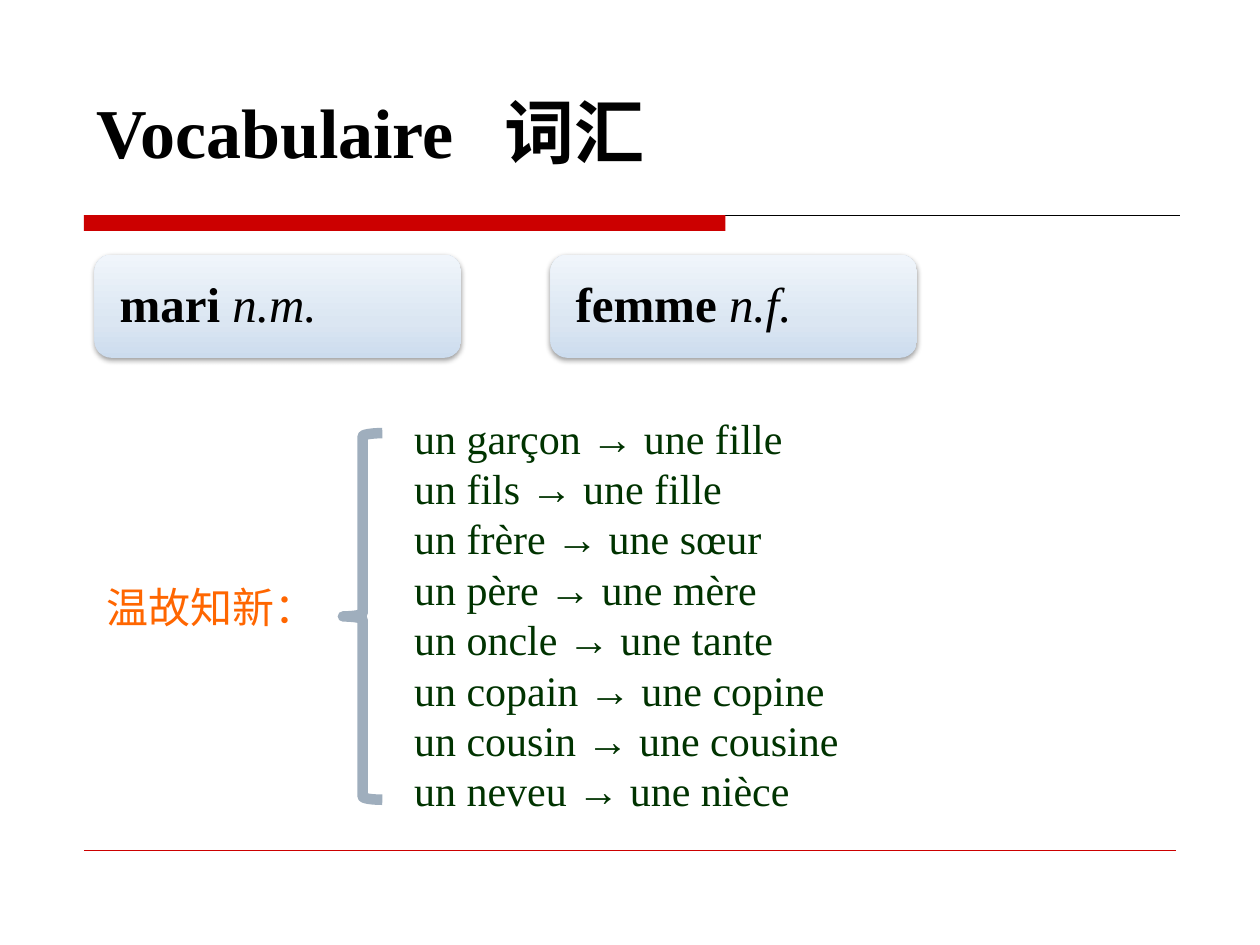
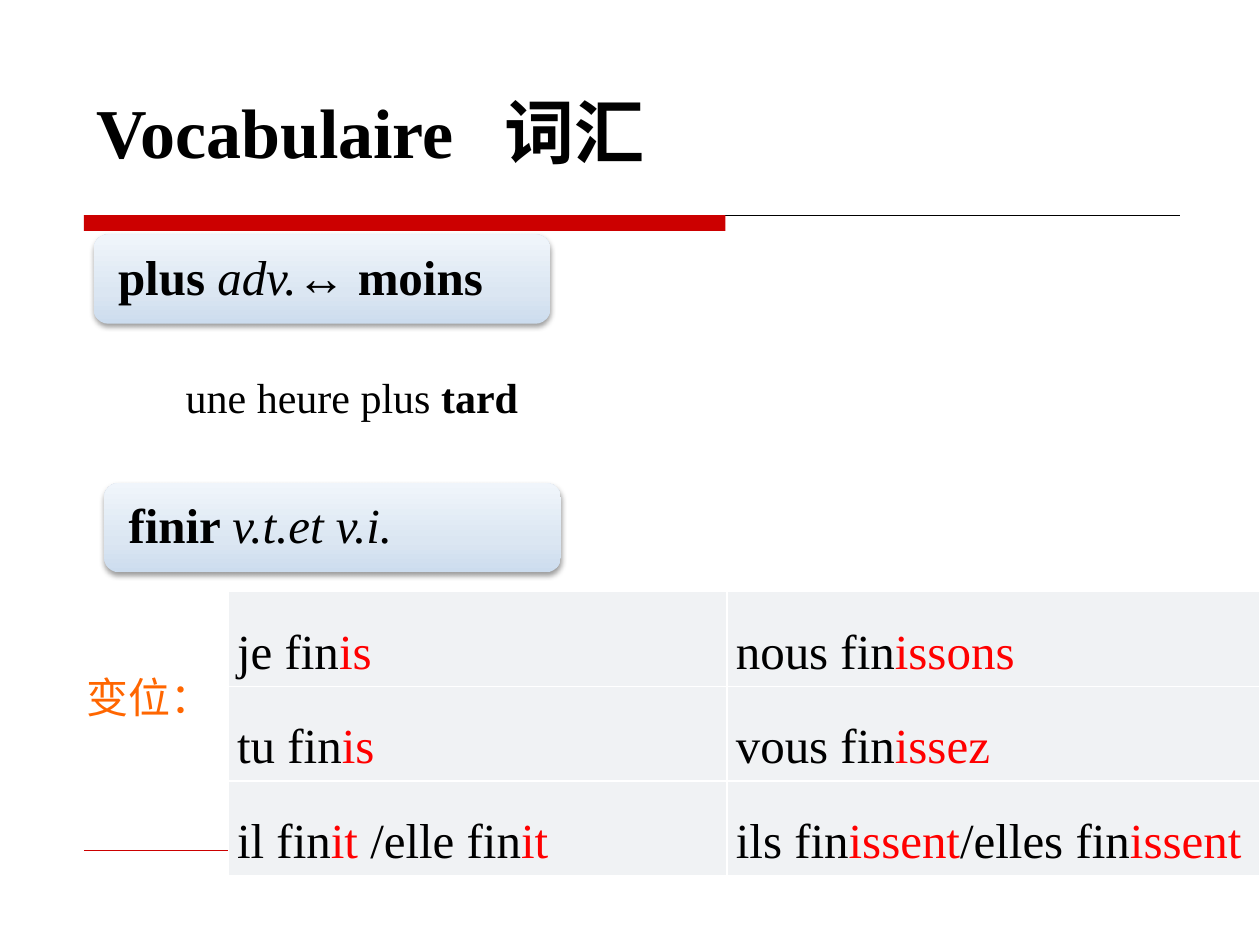
from copy import deepcopy
from dataclasses import dataclass
from typing import NamedTuple

from lxml.etree import SubElement
from pptx import Presentation
from pptx.dml.color import RGBColor
from pptx.enum.shapes import MSO_CONNECTOR, MSO_SHAPE
from pptx.enum.text import MSO_ANCHOR, PP_ALIGN
from pptx.oxml.ns import qn
from pptx.util import Pt


@dataclass(frozen=True)
class Theme:
    """Colours, fonts and type sizes of the deck."""
    ink: str = "000000"
    band: str = "CC0000"
    label: str = "FF6600"
    pair: str = "003300"
    ending: str = "FF0000"
    brace: str = "9FAEBD"
    cell: str = "F0F2F4"
    edge: str = "FFFFFF"
    fade: tuple = ((0, "CCDCEE"), (0.35, "DBE6F2"), (1, "F0F5FB"))
    latin: str = "Times New Roman"
    han: str = "Noto Sans CJK SC"
    title: int = 40
    word: int = 28
    body: int = 24


class Box(NamedTuple):
    """A place on the slide, in points."""
    left: float
    top: float
    width: float
    height: float

    def pts(self) -> list:
        """Give the four lengths as Pt."""
        return [Pt(n) for n in self]


class Run(NamedTuple):
    """A piece of text with its own style."""
    text: str
    bold: bool = False
    slant: bool = False
    color: str = "000000"


class Card(NamedTuple):
    """A rounded box that holds a headword."""
    box: Box
    runs: list


class Note(NamedTuple):
    """A plain text box, one list of runs a line."""
    box: Box
    lines: list
    font: str
    size: int
    wrap: bool = True


LOOK = Theme()


def rgb(code: str) -> RGBColor:
    """Turn a hex code into a colour."""
    return RGBColor.from_string(code)


def write(par, runs: list, size: int, font: str = LOOK.latin) -> None:
    """Fill a paragraph with styled runs."""
    par.font.size = Pt(size)
    par.font.name = font
    base = par._p.get_or_add_pPr().find(qn("a:defRPr"))
    SubElement(base, qn("a:ea"), typeface=LOOK.han)
    for item in runs:
        run = par.add_run()
        run.text = item.text
        run.font.bold = item.bold
        run.font.italic = item.slant
        run.font.color.rgb = rgb(item.color)


def note(slide, item: Note, tab: float = 0) -> None:
    """Draw a text box with even line pitch."""
    frame = slide.shapes.add_textbox(*item.box.pts()).text_frame
    frame.word_wrap = item.wrap
    for i, runs in enumerate(item.lines):
        par = frame.add_paragraph() if i else frame.paragraphs[0]
        par.line_spacing = Pt(item.size * 1.2)
        if tab:
            tabs = SubElement(par._p.get_or_add_pPr(), qn("a:tabLst"))
            SubElement(tabs, qn("a:tab"), pos=str(Pt(tab)), algn="l")
        write(par, runs, item.size, item.font)


def label(slide, text: str, left: float, top: float) -> None:
    """Draw an orange side label."""
    runs = [Run(text, color=LOOK.label)]
    note(slide, Note(Box(left, top, 142, 37), [runs], LOOK.han, LOOK.body))


def rule(slide, left: float, right: float, top: float, color: str, width: float) -> None:
    """Draw a level line."""
    line = slide.shapes.add_connector(
        MSO_CONNECTOR.STRAIGHT, Pt(left), Pt(top), Pt(right), Pt(top))
    line.line.color.rgb = rgb(color)
    line.line.width = Pt(width)
    SubElement(line._element.spPr, qn("a:effectLst"))


def card(slide, item: Card) -> None:
    """Draw a headword card with fade and shadow."""
    shape = slide.shapes.add_shape(MSO_SHAPE.ROUNDED_RECTANGLE, *item.box.pts())
    shape.line.fill.background()
    shape.fill.gradient()
    shape.fill.gradient_angle = 90
    props = shape._element.spPr
    stops = props.find(".//" + qn("a:gsLst"))
    stops.append(deepcopy(stops[0]))
    for stop, (spot, color) in zip(shape.fill.gradient_stops, LOOK.fade):
        stop.position = spot
        stop.color.rgb = rgb(color)
    shape.shadow.inherit = False
    shade = SubElement(props.find(qn("a:effectLst")), qn("a:outerShdw"),
                       blurRad=str(Pt(3.1)), dist=str(Pt(1.6)),
                       dir="5400000", rotWithShape="0")
    color = SubElement(shade, qn("a:srgbClr"), val=LOOK.ink)
    SubElement(color, qn("a:alpha"), val="38000")
    frame = shape.text_frame
    frame.word_wrap = True
    frame.vertical_anchor = MSO_ANCHOR.MIDDLE
    frame.margin_left = frame.margin_right = Pt(11.5)
    par = frame.paragraphs[0]
    par.alignment = PP_ALIGN.LEFT
    par.line_spacing = 0.9
    write(par, item.runs, LOOK.word)


def verbs(slide, box: Box, cols: list, rows: list) -> None:
    """Draw the verb table, endings in red."""
    table = slide.shapes.add_table(len(rows), len(cols), *box.pts()).table
    for col, width in zip(table.columns, cols):
        col.width = Pt(width)
    for r, row in enumerate(rows):
        for c, parts in enumerate(row):
            cell = table.cell(r, c)
            cell.margin_left = cell.margin_right = Pt(5)
            cell.margin_top = cell.margin_bottom = 0
            cell.vertical_anchor = MSO_ANCHOR.MIDDLE
            props = cell._tc.get_or_add_tcPr()
            for side in ("lnL", "lnR", "lnT", "lnB"):
                line = SubElement(props, qn("a:" + side), w=str(Pt(1)))
                fill = SubElement(line, qn("a:solidFill"))
                SubElement(fill, qn("a:srgbClr"), val=LOOK.edge)
            cell.fill.solid()
            cell.fill.fore_color.rgb = rgb(LOOK.cell)
            par = cell.text_frame.paragraphs[0]
            par.alignment = PP_ALIGN.JUSTIFY
            par.line_spacing = 1.5
            tints = (LOOK.ink, LOOK.ending)
            runs = [Run(text, color=tints[i % 2]) for i, text in enumerate(parts)]
            write(par, runs, LOOK.word)


def start(deck):
    """Add a slide with its title, band and rules."""
    slide = deck.slides.add_slide(deck.slide_layouts[6])
    rule(slide, 48, 674.5, 123, LOOK.ink, 0.75)
    band = slide.shapes.add_shape(MSO_SHAPE.RECTANGLE, *Box(48, 123, 366.5, 9).pts())
    band.shadow.inherit = False
    band.fill.solid()
    band.fill.fore_color.rgb = rgb(LOOK.band)
    band.line.fill.background()
    rule(slide, 48, 672, 486, LOOK.band, 0.25)
    runs = [Run("Vocabulaire\t词汇", bold=True)]
    note(slide, Note(Box(48, 47, 562, 55), [runs], LOOK.latin, LOOK.title), tab=233)
    return slide


def family(deck) -> None:
    """Build the slide on husband and wife."""
    slide = start(deck)
    heads = (("mari ", "n.m."), ("femme ", "n.f."))
    for i, (word, kind) in enumerate(heads):
        box = Box(54 + 260.5 * i, 145.5, 209.5, 59)
        card(slide, Card(box, [Run(word, bold=True), Run(kind, slant=True)]))
    label(slide, "温故知新：", 54, 329)
    pairs = (("garçon", "fille"), ("fils", "fille"), ("frère", "sœur"),
             ("père", "mère"), ("oncle", "tante"), ("copain", "copine"),
             ("cousin", "cousine"), ("neveu", "nièce"))
    lines = [[Run(f"un {man} → une {lady}", color=LOOK.pair)] for man, lady in pairs]
    note(slide, Note(Box(229.5, 232, 436, 240), lines, LOOK.latin, LOOK.body))
    brace = slide.shapes.add_shape(MSO_SHAPE.LEFT_BRACE, *Box(196, 247.5, 22.5, 209.5).pts())
    brace.shadow.inherit = False
    brace.fill.background()
    brace.line.color.rgb = rgb(LOOK.brace)
    brace.line.width = Pt(6)


def finish(deck) -> None:
    """Build the slide on plus and finir."""
    slide = start(deck)
    card(slide, Card(Box(53.5, 134, 261, 51), [
        Run("plus ", bold=True), Run("adv.↔ ", slant=True), Run("moins", bold=True)]))
    runs = [Run("une heure plus "), Run("tard", bold=True)]
    note(slide, Note(Box(99, 209, 206, 36), [runs], LOOK.latin, LOOK.body, False))
    card(slide, Card(Box(59.5, 276, 261, 51), [
        Run("finir ", bold=True), Run("v.t.et v.i.", slant=True)]))
    verbs(slide, Box(130.5, 338, 589.5, 162.5), [285, 304.5], [
        (("je fin", "is"), ("nous fin", "issons")),
        (("tu fin", "is"), ("vous fin", "issez")),
        (("il fin", "it ", "/elle fin", "it"),
         ("ils fin", "issent", "/elles fin", "issent"))])
    label(slide, "变位：", 42.5, 380)


def main() -> None:
    """Build and save the deck."""
    deck = Presentation()
    deck.slide_width, deck.slide_height = Pt(720), Pt(540)
    family(deck)
    finish(deck)
    deck.save("out.pptx")


if __name__ == "__main__":
    main()
